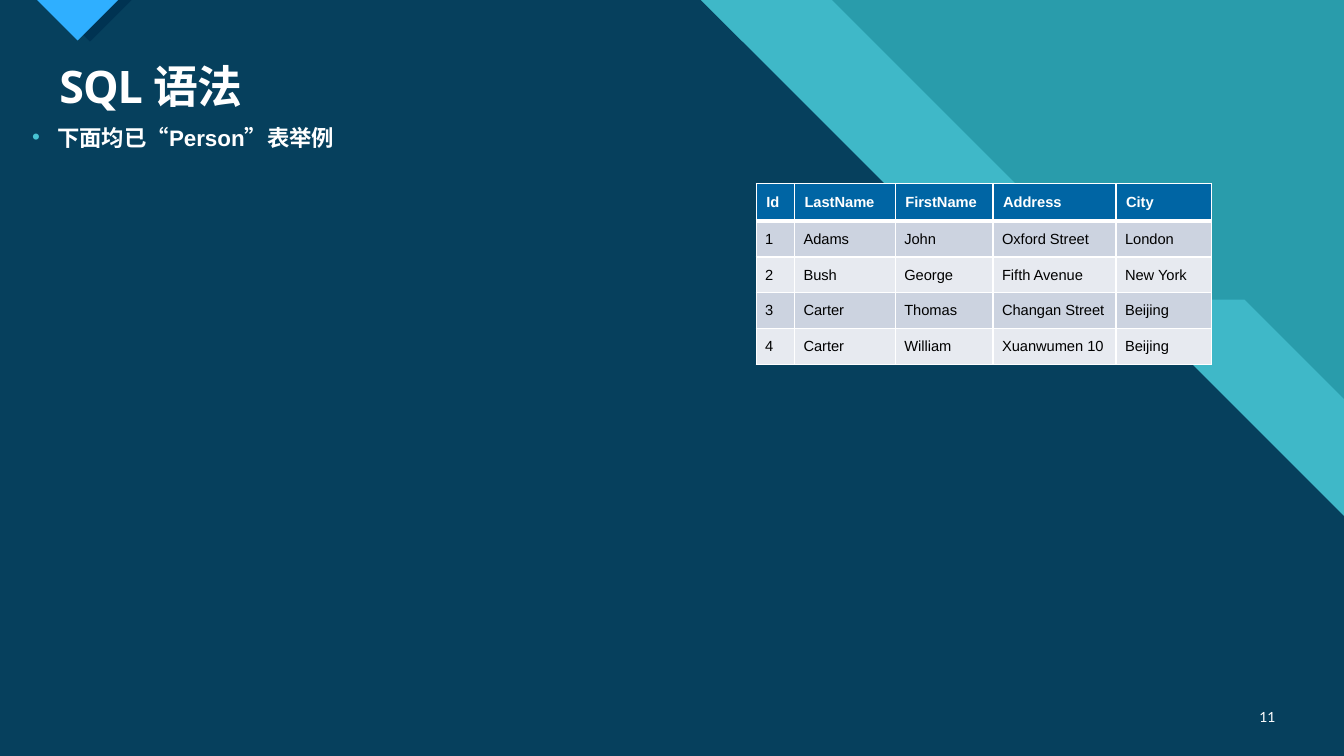
from typing import NamedTuple

from lxml.etree import SubElement
from pptx import Presentation
from pptx.dml.color import RGBColor
from pptx.enum.text import MSO_ANCHOR as Anchor, MSO_AUTO_SIZE as AutoSize, PP_ALIGN as Align
from pptx.oxml import parse_xml
from pptx.oxml.ns import nsdecls, qn
from pptx.util import Inches, Pt

WIDTH, HEIGHT = Inches(13.33), Inches(7.5)
CELL = HEIGHT / 100  # square grid: 100 rows down the slide
COLUMNS, ROWS = WIDTH / CELL, 100

TEAL = RGBColor(0x29, 0x9C, 0xAB)
AQUA = RGBColor(0x47, 0xC3, 0xD3)
NAVY = RGBColor(0x00, 0x33, 0x52)
SKY = RGBColor(0x2F, 0xAF, 0xFF)
HEADER_BLUE = RGBColor(0x00, 0x65, 0xA4)
ODD_ROW = RGBColor(0xCC, 0xD3, 0xE0)
EVEN_ROW = RGBColor(0xE7, 0xEA, 0xF0)
WHITE = RGBColor(0xFF, 0xFF, 0xFF)
BLACK = RGBColor(0x00, 0x00, 0x00)


class Box(NamedTuple):
    """A frame in grid cells."""
    left: float
    top: float
    width: float
    height: float


class Band(NamedTuple):
    """A field bounded by 45 degree edges with a level shelf between them."""
    start: float
    shelf: float
    colour: RGBColor
    opacity: int


class Marker(NamedTuple):
    """A triangle hanging from the top edge."""
    left: float
    depth: float
    colour: RGBColor


class Label(NamedTuple):
    """A one-paragraph text box."""
    text: str
    box: Box
    font: str
    size: float
    bold: bool = True


class RowStyle(NamedTuple):
    """The look of one kind of table row."""
    fill: RGBColor
    colour: RGBColor
    inset: float
    bottom: float
    bold: bool


SHELF_ROW = 39.65
BANDS = (Band(110, 14.93, AQUA, 74), Band(92.67, 16.8, NAVY, 90))
MARKERS = (Marker(6.4, 5.5, NAVY), Marker(4.93, 5.35, SKY))

TITLE = Label("SQL 语法", Box(6.53, 7.87, 163.47, 7.87), "Noto Sans", 32)
NUMBER = Label("11", Box(164.13, 92.13, 5.87, 5.33), "Lato", 10, False)
INTRO = Label("下面均已“Person”表举例", Box(2.93, 15.73, 98, 23.33), "Arial", 16)

PERSONS = (
    ("Id", "LastName", "FirstName", "Address", "City"),
    ("1", "Adams", "John", "Oxford Street", "London"),
    ("2", "Bush", "George", "Fifth Avenue", "New York"),
    ("3", "Carter", "Thomas", "Changan Street", "Beijing"),
    ("4", "Carter", "William", "Xuanwumen 10", "Beijing"),
)
TABLE_BOX = Box(100, 24.27, 60.27, 20.8)
TABLE_COLUMNS = (5.07, 13.33, 12.93, 16.27, 12.67)
HEADER_HEIGHT, ROW_HEIGHT = 4.27, 4.13
HEADER_STYLE = RowStyle(HEADER_BLUE, WHITE, 0.1, 3, True)
BODY_STYLES = tuple(RowStyle(fill, BLACK, 0.09, 1, False) for fill in (ODD_ROW, EVEN_ROW))


def cells(count: float) -> int:
    """Turn grid cells into a slide length."""
    return round(count * CELL)


def add_polygon(slide, points, colour: RGBColor, opacity: int = 100):
    """Draw a closed, unlined outline through grid points."""
    (first, *others) = [(cells(x), cells(y)) for x, y in points]
    builder = slide.shapes.build_freeform(*first)
    builder.add_line_segments(others, close=True)
    shape = builder.convert_to_shape()
    shape.shadow.inherit = False
    shape.line.fill.background()
    shape.fill.solid()
    shape.fill.fore_color.rgb = colour
    if opacity < 100:
        tint = shape._element.spPr.find(".//" + qn("a:srgbClr"))
        SubElement(tint, qn("a:alpha"), val=str(opacity * 1000))


def add_band(slide, band: Band):
    """Fill the slide below and left of a band's stepped edge."""
    shelf_start = band.start + SHELF_ROW
    right_edge_row = COLUMNS - band.start - band.shelf
    add_polygon(slide, (
        (0, 0), (band.start, 0), (shelf_start, SHELF_ROW),
        (shelf_start + band.shelf, SHELF_ROW), (COLUMNS, right_edge_row),
        (COLUMNS, ROWS), (0, ROWS)), band.colour, band.opacity)


def add_marker(slide, marker: Marker):
    """Draw a right-angled triangle pointing down."""
    left, depth, colour = marker
    add_polygon(slide, ((left, 0), (left + 2 * depth, 0), (left + depth, depth)), colour)


def add_label(slide, label: Label):
    """Add a text box and return its shape and paragraph."""
    shape = slide.shapes.add_textbox(*map(cells, label.box))
    shape.text_frame.word_wrap = True
    paragraph = shape.text_frame.paragraphs[0]
    paragraph.text = label.text
    font = paragraph.font
    font.name, font.size, font.bold = label.font, Pt(label.size), label.bold
    font.color.rgb = WHITE
    return shape, paragraph


def add_bullet(paragraph):
    """Give a paragraph a hanging aqua bullet."""
    properties = paragraph._p.get_or_add_pPr()
    properties.set("marL", str(Inches(0.25)))
    properties.set("indent", str(-Inches(0.25)))
    paragraph.space_before, paragraph.space_after = Pt(6), Pt(4)
    run_defaults = properties.find(qn("a:defRPr"))
    for xml in (f'<a:buClr {nsdecls("a")}><a:srgbClr val="{AQUA}"/></a:buClr>',
                f'<a:buFont {nsdecls("a")} typeface="Arial"/>',
                f'<a:buChar {nsdecls("a")} char="•"/>'):
        run_defaults.addprevious(parse_xml(xml))


def style_cell(cell, style: RowStyle):
    """Set a table cell's margins, borders, fill and font."""
    cell.margin_left = cell.margin_right = Inches(style.inset)
    cell.margin_top = cell.margin_bottom = Inches(style.inset)
    cell.vertical_anchor = Anchor.MIDDLE
    properties = cell._tc.get_or_add_tcPr()
    for side, width in (("L", 1), ("R", 1), ("T", 1), ("B", style.bottom)):
        properties.append(parse_xml(
            f'<a:ln{side} {nsdecls("a")} w="{Pt(width)}"><a:solidFill>'
            f'<a:srgbClr val="{WHITE}"/></a:solidFill></a:ln{side}>'))
    cell.fill.solid()
    cell.fill.fore_color.rgb = style.fill
    font = cell.text_frame.paragraphs[0].font
    font.name, font.size, font.bold = "Arial", Pt(10.5), style.bold
    font.color.rgb = style.colour


def add_person_table(slide):
    """Add the Person table with a header and alternating rows."""
    table = slide.shapes.add_table(
        len(PERSONS), len(TABLE_COLUMNS), *map(cells, TABLE_BOX)).table
    for column, width in zip(table.columns, TABLE_COLUMNS):
        column.width = cells(width)
    for index, values in enumerate(PERSONS):
        style = BODY_STYLES[(index - 1) % 2] if index else HEADER_STYLE
        table.rows[index].height = cells(ROW_HEIGHT if index else HEADER_HEIGHT)
        for cell, value in zip(table.rows[index].cells, values):
            cell.text = value
            style_cell(cell, style)


presentation = Presentation()
presentation.slide_width, presentation.slide_height = WIDTH, HEIGHT
slide = presentation.slides.add_slide(presentation.slide_layouts[6])
slide.background.fill.solid()
slide.background.fill.fore_color.rgb = TEAL

for band in BANDS:
    add_band(slide, band)
for marker in MARKERS:
    add_marker(slide, marker)

title, title_paragraph = add_label(slide, TITLE)
title.text_frame.auto_size = AutoSize.SHAPE_TO_FIT_TEXT
title_paragraph.line_spacing = 0.9
title_paragraph.runs[0]._r.get_or_add_rPr().set("spc", "-70")

number, number_paragraph = add_label(slide, NUMBER)
number.text_frame.vertical_anchor = Anchor.MIDDLE
number_paragraph.alignment = Align.RIGHT

add_person_table(slide)
add_bullet(add_label(slide, INTRO)[1])

presentation.save("out.pptx")
